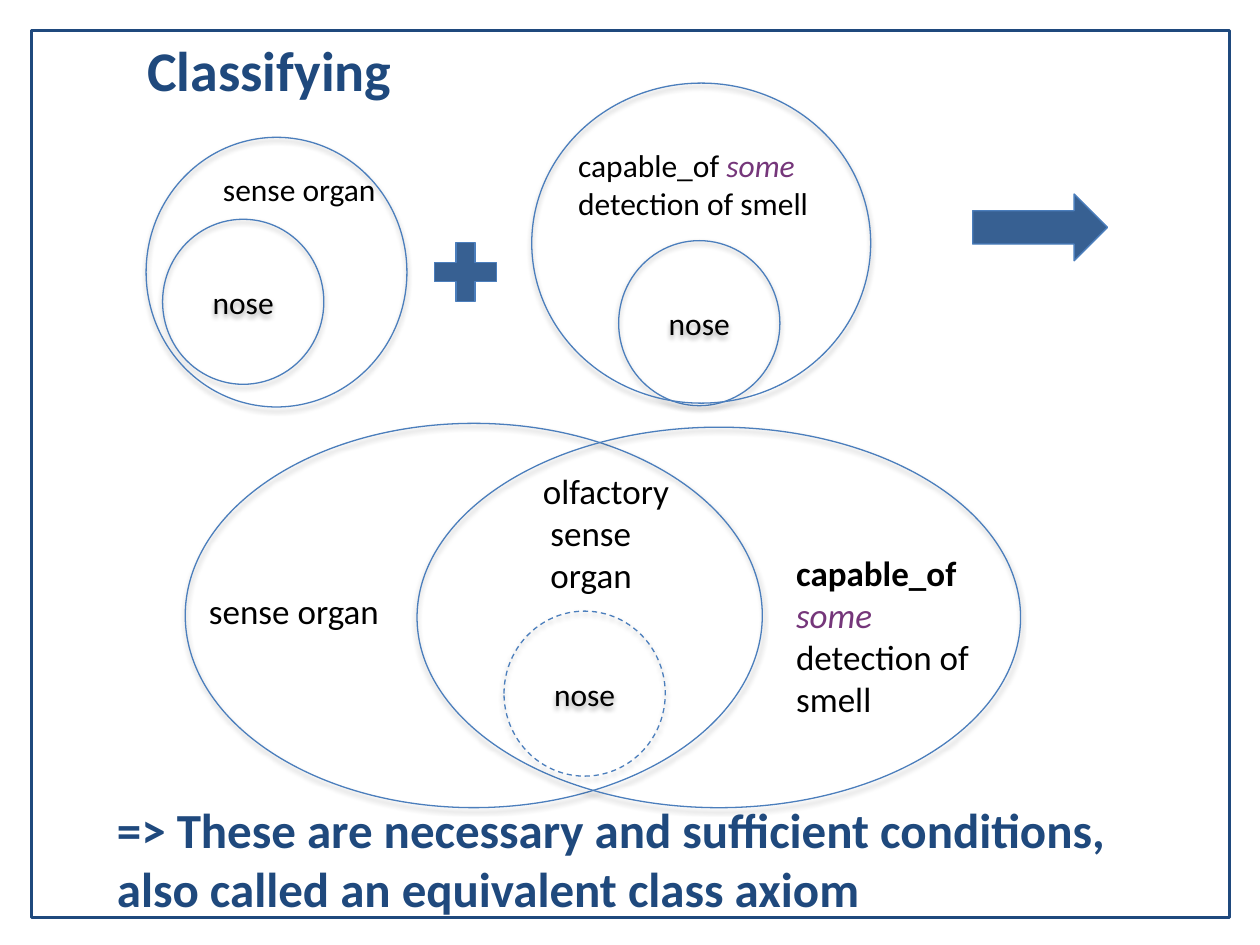
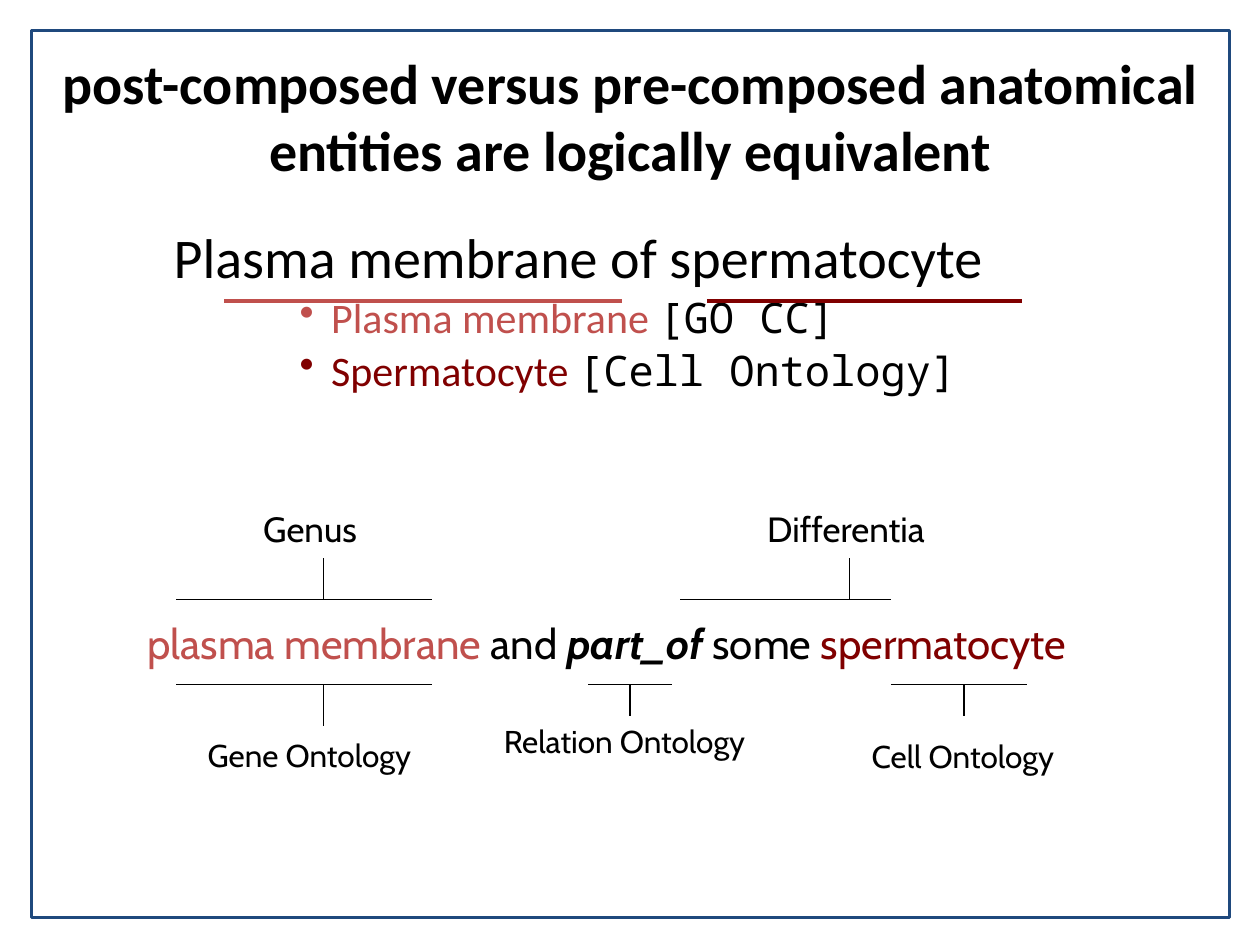
from dataclasses import dataclass

from lxml import etree
from pptx import Presentation
from pptx.dml.color import RGBColor
from pptx.enum.dml import MSO_LINE
from pptx.enum.shapes import MSO_CONNECTOR, MSO_SHAPE
from pptx.enum.text import MSO_ANCHOR, MSO_AUTO_SIZE, PP_ALIGN
from pptx.oxml.ns import qn
from pptx.util import Emu, Pt

EMU_PER_PX = 9144  # 100 px to the inch
COLORS = {
    "black": "000000",
    "navy": "1F497D",
    "outline": "4B7EBC",
    "solid": "376092",
    "purple": "75367A",
    "red": "C0504D",
    "maroon": "800000",
}
BODY, LABEL, MONO = "Calibri", "Cabin", "Noto Sans Mono"
LEFT, CENTER, RIGHT = PP_ALIGN.LEFT, PP_ALIGN.CENTER, PP_ALIGN.RIGHT
TOP, MIDDLE = MSO_ANCHOR.TOP, MSO_ANCHOR.MIDDLE
OVAL, RECTANGLE = MSO_SHAPE.OVAL, MSO_SHAPE.RECTANGLE
RIGHT_ARROW, PLUS = MSO_SHAPE.RIGHT_ARROW, MSO_SHAPE.MATH_PLUS
STRAIGHT, DASH = MSO_CONNECTOR.STRAIGHT, MSO_LINE.DASH
FIT_TEXT = MSO_AUTO_SIZE.SHAPE_TO_FIT_TEXT


@dataclass
class Run:
    text: str
    color: str | None = None
    font: str | None = None
    bold: bool | None = None
    italic: bool | None = None


@dataclass
class Line:
    runs: list[Run]
    size: int
    color: str = "black"
    font: str = BODY
    bold: bool = False
    align: PP_ALIGN = LEFT
    indent: int = 0
    bullet: bool = False


@dataclass
class Box:
    left: int
    top: int
    width: int
    height: int
    lines: list[Line]
    wrap: bool = True
    anchor: MSO_ANCHOR = TOP
    grow: bool = True


@dataclass
class Circle:
    left: int
    top: int
    width: int
    height: int
    label: str = ""
    dashed: bool = False


@dataclass
class Bracket:
    left: int
    right: int
    bar: int
    stem: int
    stem_end: int


def px(value: int) -> Emu:
    return Emu(value * EMU_PER_PX)


def rgb(name: str) -> RGBColor:
    return RGBColor.from_string(COLORS[name])


def plain(text: str, size: int, **style) -> Line:
    return Line([Run(text)], size, **style)


def write_lines(text_frame, lines: list[Line]) -> None:
    for number, line in enumerate(lines):
        paragraph = text_frame.add_paragraph() if number else text_frame.paragraphs[0]
        paragraph.alignment = line.align
        properties = paragraph._p.get_or_add_pPr()
        if line.bullet:
            properties.set("marL", str(px(125)))
            properties.set("indent", str(-px(25)))
            paragraph.space_before = Pt(1)
            etree.SubElement(properties, qn("a:buChar")).set("char", "•")
        elif line.indent:
            properties.set("marL", str(px(line.indent)))
        paragraph.font.size = Pt(line.size)
        paragraph.font.name = line.font
        paragraph.font.bold = line.bold
        paragraph.font.color.rgb = rgb(line.color)
        for item in line.runs:
            run = paragraph.add_run()
            run.text = item.text
            if item.color:
                run.font.color.rgb = rgb(item.color)
            if item.font:
                run.font.name = item.font
            if item.bold:
                run.font.bold = True
            if item.italic:
                run.font.italic = True


def add_box(slide, box: Box) -> None:
    shape = slide.shapes.add_textbox(px(box.left), px(box.top), px(box.width), px(box.height))
    text_frame = shape.text_frame
    text_frame.word_wrap = box.wrap
    text_frame.vertical_anchor = box.anchor
    if box.grow:
        text_frame.auto_size = FIT_TEXT
    write_lines(text_frame, box.lines)


def add_figure(slide, kind, left: int, top: int, width: int, height: int,
               line: str = "outline", weight: float = 0.75, fill: str | None = None):
    shape = slide.shapes.add_shape(kind, px(left), px(top), px(width), px(height))
    shape.shadow.inherit = False
    if fill:
        shape.fill.solid()
        shape.fill.fore_color.rgb = rgb(fill)
    else:
        shape.fill.background()
    shape.line.color.rgb = rgb(line)
    shape.line.width = Pt(weight)
    return shape


def add_circle(slide, circle: Circle) -> None:
    shape = add_figure(slide, OVAL, circle.left, circle.top, circle.width, circle.height)
    if circle.dashed:
        shape.line.dash_style = DASH
    # Soft shadow straight below the outline
    effects = shape._element.spPr.find(qn("a:effectLst"))
    shadow = etree.SubElement(effects, qn("a:outerShdw"), blurRad=str(Pt(3.1)),
                              dist=str(Pt(1.8)), dir="5400000", rotWithShape="0")
    color = etree.SubElement(shadow, qn("a:srgbClr"), val=COLORS["black"])
    etree.SubElement(color, qn("a:alpha"), val="35000")
    if circle.label:
        shape.text_frame.vertical_anchor = MIDDLE
        write_lines(shape.text_frame, [plain(circle.label, 18, align=CENTER)])


def add_line(slide, x1: int, y1: int, x2: int, y2: int,
             color: str = "black", weight: float = 0.75) -> None:
    connector = slide.shapes.add_connector(STRAIGHT, px(x1), px(y1), px(x2), px(y2))
    connector.line.color.rgb = rgb(color)
    connector.line.width = Pt(weight)
    etree.SubElement(connector._element.spPr, qn("a:effectLst"))


def add_bracket(slide, bracket: Bracket) -> None:
    add_line(slide, bracket.left, bracket.bar, bracket.right, bracket.bar)
    add_line(slide, bracket.stem, bracket.bar, bracket.stem, bracket.stem_end)


def add_framed_slide(presentation):
    slide = presentation.slides.add_slide(presentation.slide_layouts[6])
    add_figure(slide, RECTANGLE, 25, 24, 951, 704, line="navy", weight=1.5)
    return slide


def build_classifying(presentation) -> None:
    slide = add_framed_slide(presentation)

    # Separate classes above, overlapping classes below
    nose = {"width": 128, "height": 131, "label": "nose"}
    for circle in (
        Circle(129, 174, **nose),
        Circle(116, 109, 207, 214),
        Circle(491, 191, **nose),
        Circle(422, 66, 269, 254),
        Circle(147, 336, 458, 305),
        Circle(331, 339, 479, 302),
        Circle(400, 485, **nose, dashed=True),
    ):
        add_circle(slide, circle)

    # Plus sign and arrow
    add_figure(slide, PLUS, 336, 184, 67, 64, fill="solid")
    add_figure(slide, RIGHT_ARROW, 772, 154, 107, 53, fill="solid")

    # Title, class names and conclusion
    conclusion = ("=> These are necessary and sufficient conditions, "
                  "also called an equivalent class axiom")
    some = Run("some", color="purple", italic=True)
    for box in (
        Box(107, 23, 756, 64, [plain("Classifying", 32, color="navy", bold=True)]),
        Box(147, 130, 161, 40, [plain("sense organ", 18, align=RIGHT)], wrap=False),
        Box(449, 111, 227, 71, [Line([Run("capable_of "), some], 18),
                                plain("detection of smell", 18)], wrap=False),
        Box(156, 463, 201, 44, [plain("sense organ", 20)]),
        Box(622, 433, 184, 145, [Line([Run("capable_of ", bold=True), some,
                                       Run(" detection of smell")], 20)]),
        Box(421, 368, 155, 111, [plain("olfactory", 20), plain("sense", 20, indent=6),
                                 plain("organ", 20, indent=6)]),
        Box(83, 630, 848, 104, [plain(conclusion, 28, color="navy", bold=True)]),
    ):
        add_box(slide, box)


def build_equivalence(presentation) -> None:
    slide = add_framed_slide(presentation)

    # Title, example term and its parts
    title = "post-composed versus pre-composed anatomical entities are logically equivalent"
    add_box(slide, Box(25, 29, 951, 125, [plain(title, 32, bold=True, align=CENTER)],
                       anchor=MIDDLE, grow=False))
    parts = (("Plasma membrane ", "red", "[GO CC]"),
             ("Spermatocyte ", "maroon", "[Cell Ontology]"))
    bullets = [Line([Run(term), Run(source, color="black", font=MONO)], 24,
                    color=color, bullet=True) for term, color, source in parts]
    add_box(slide, Box(128, 172, 833, 169,
                       [plain("Plasma membrane of spermatocyte", 32), *bullets], grow=False))
    add_line(slide, 178, 239, 494, 239, "red", 2.25)
    add_line(slide, 561, 239, 811, 239, "maroon", 2.25)

    # Logical definition
    definition = Line([
        Run("plasma membrane ", color="red"),
        Run("and "),
        Run("part_of ", bold=True, italic=True),
        Run("some "),
        Run("spermatocyte", color="maroon"),
    ], 24, font=LABEL)
    add_box(slide, Box(107, 485, 759, 50, [definition], wrap=False))

    # Brackets above and below the definition
    above, below = 476, 543
    for bracket in (
        Bracket(140, 343, above, 257, 443),
        Bracket(540, 707, above, 674, 443),
        Bracket(140, 343, below, 257, 576),
        Bracket(467, 533, below, 500, 568),
        Bracket(707, 815, below, 765, 568),
    ):
        add_bracket(slide, bracket)

    # Bracket labels
    for text, size, left, top, width, height in (
        ("Genus", 20, 199, 398, 97, 43),
        ("Differentia", 20, 599, 398, 147, 43),
        ("Gene Ontology", 18, 155, 579, 189, 40),
        ("Relation Ontology", 18, 390, 568, 219, 40),
        ("Cell Ontology", 18, 682, 580, 173, 40),
    ):
        add_box(slide, Box(left, top, width, height,
                           [plain(text, size, font=LABEL)], wrap=False))


def main() -> None:
    presentation = Presentation()
    presentation.slide_width = px(1000)
    presentation.slide_height = px(750)
    build_classifying(presentation)
    build_equivalence(presentation)
    presentation.save("out.pptx")


if __name__ == "__main__":
    main()
